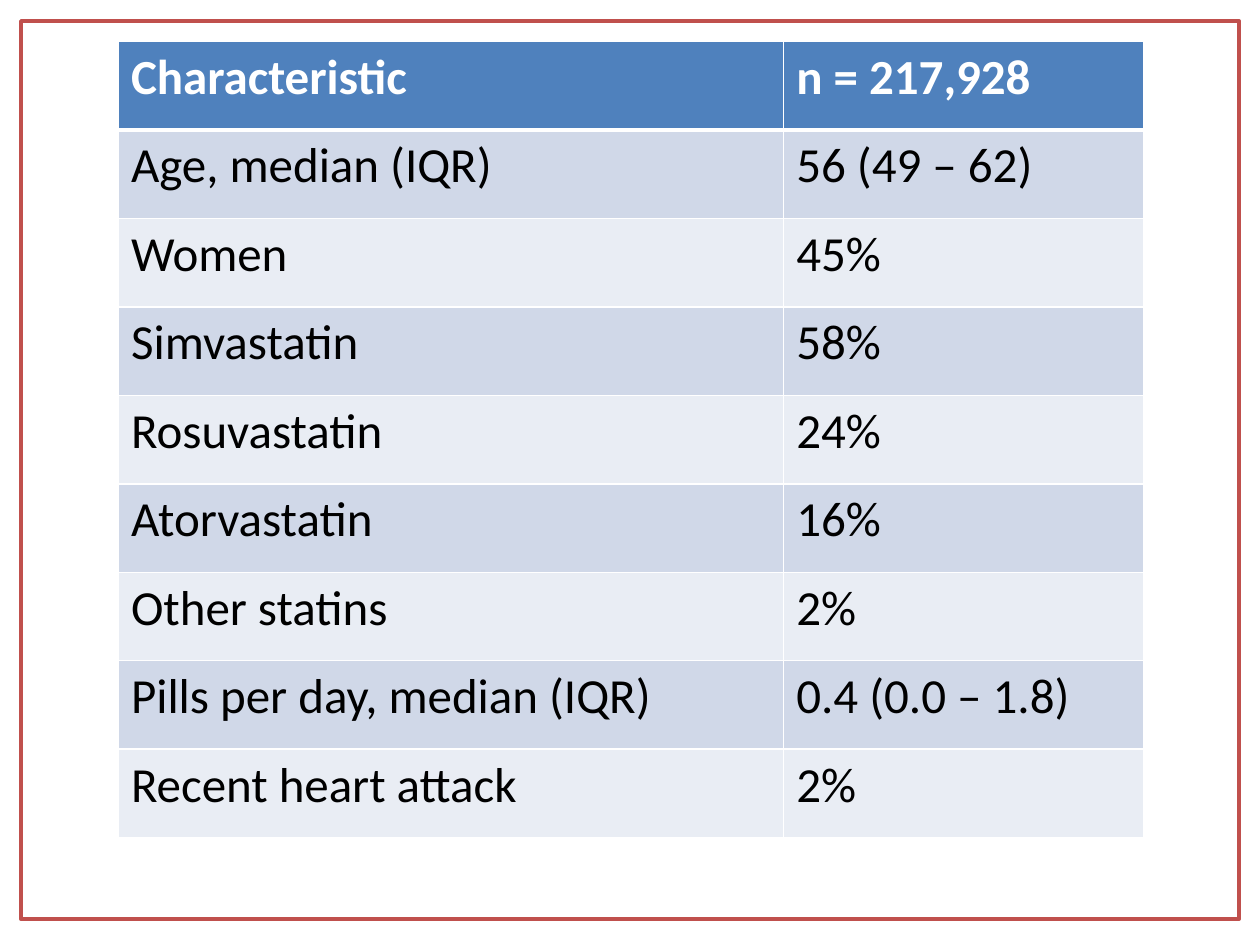
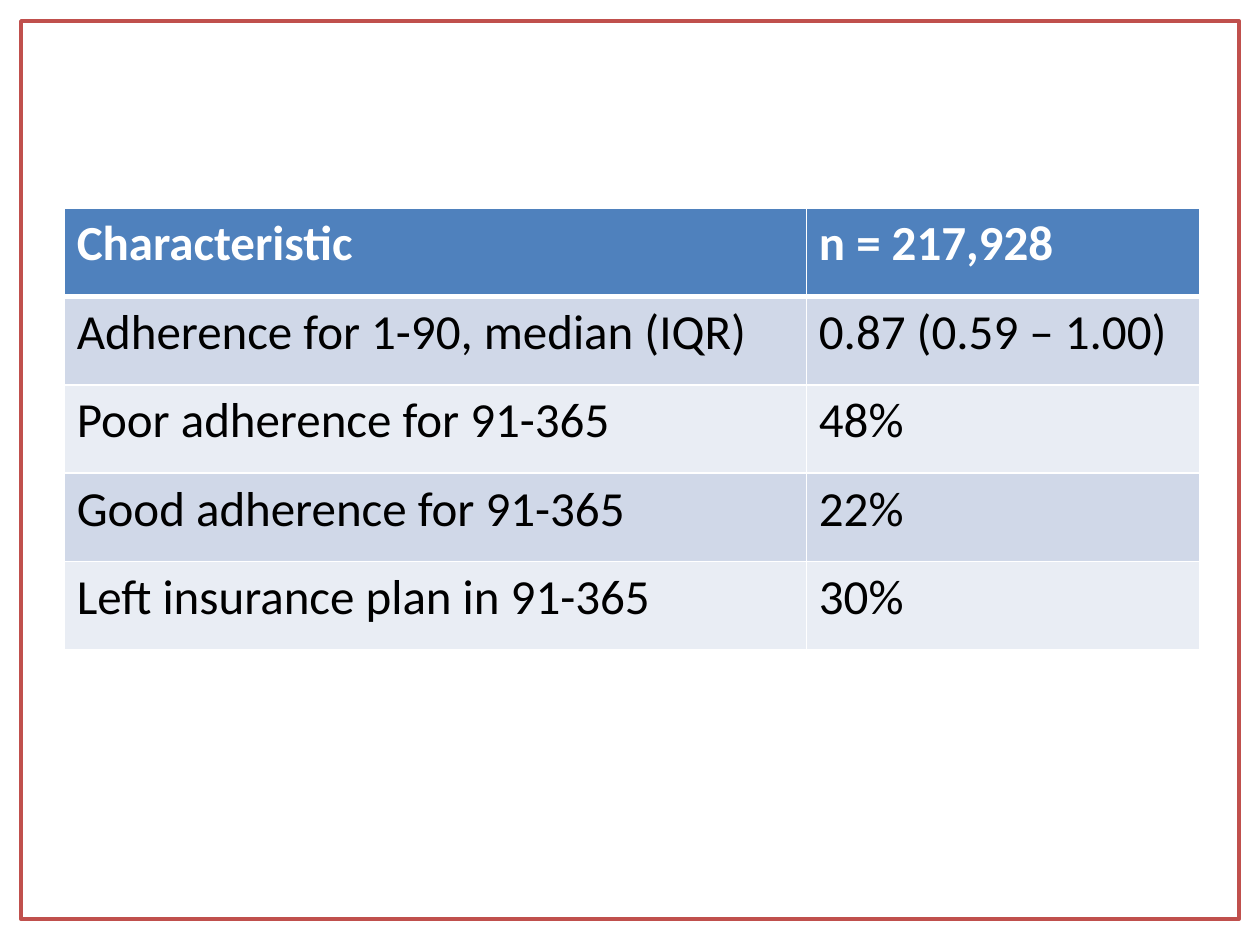
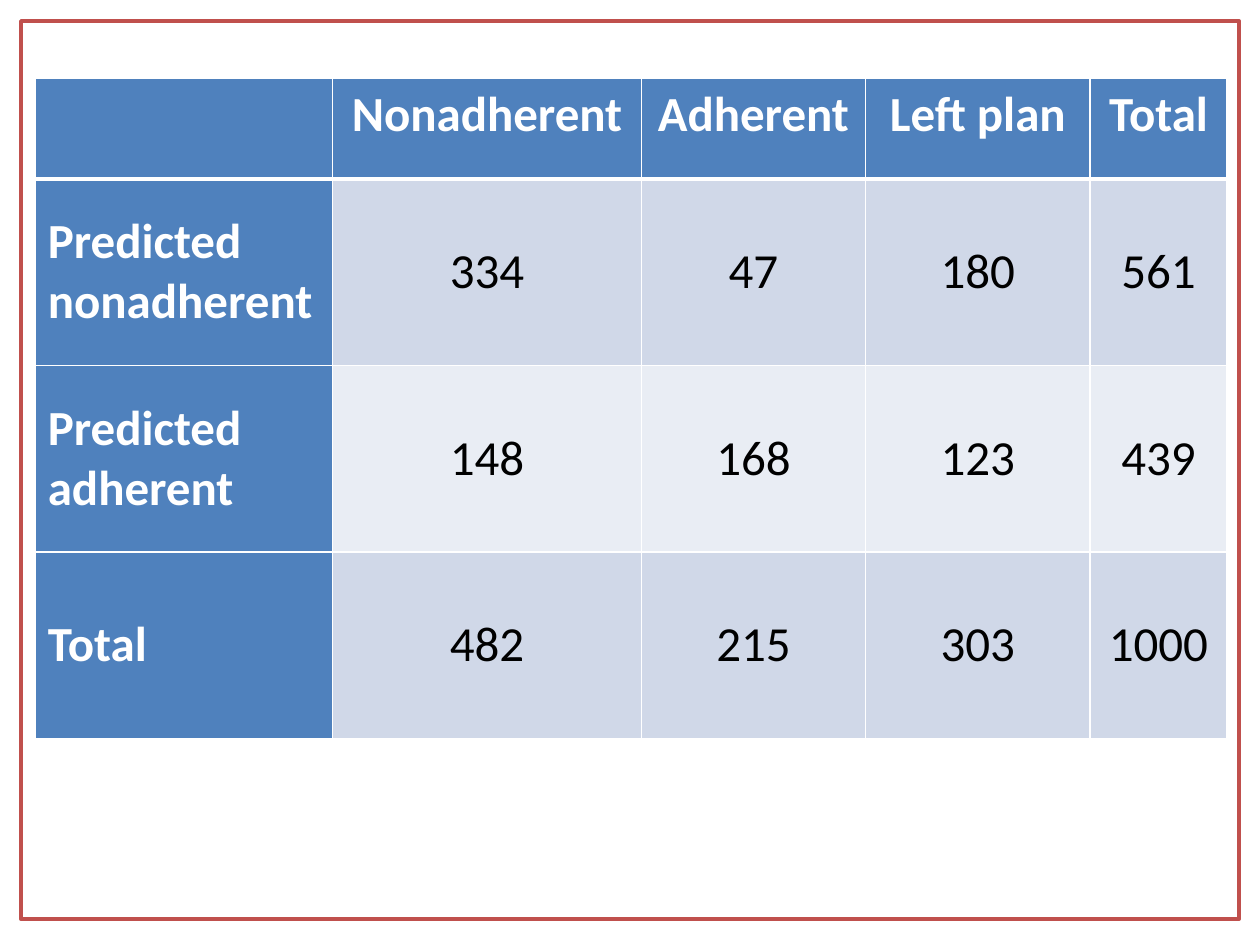
import pptx
import pptx.dml.color
import pptx.enum.shapes
import pptx.enum.text
import pptx.oxml
import pptx.oxml.ns
import pptx.util

Inches = pptx.util.Inches
Pt = pptx.util.Pt
ALIGN = pptx.enum.text.PP_ALIGN
ANCHOR = pptx.enum.text.MSO_ANCHOR

COLORS = {
    "white": "FFFFFF",
    "text": "000000",
    "frame": "C0504D",
    "header": "4F81BD",
    "odd_band": "D0D8E8",
    "even_band": "E9EDF4",
}


def rgb(name):
    return pptx.dml.color.RGBColor.from_string(COLORS[name])


class Deck:
    font_name = "Calibri"
    font_size = Pt(28)
    slide_width = 10
    frame_margin = 1 / 6

    def __init__(self):
        self.presentation = pptx.Presentation()
        self.presentation.slide_width = Inches(self.slide_width)
        self.presentation.slide_height = Inches(7.5)
        self.slide = None

    def new_slide(self):
        layout = self.presentation.slide_layouts[6]
        self.slide = self.presentation.slides.add_slide(layout)
        self.add_frame()

    def add_frame(self):
        frame = self.slide.shapes.add_shape(
            pptx.enum.shapes.MSO_SHAPE.RECTANGLE,
            Inches(self.frame_margin), Inches(self.frame_margin),
            Inches(self.slide_width - 2 * self.frame_margin), Inches(7.13))
        frame.shadow.inherit = False
        frame.fill.solid()
        frame.fill.fore_color.rgb = rgb("white")
        frame.line.color.rgb = rgb("frame")
        frame.line.width = Pt(2)

    def add_table(self, left, top, column_widths, row_heights, rows, crosstab=False):
        """Add a banded table; a crosstab also has a header column and centred values."""
        table = self.slide.shapes.add_table(
            len(rows), len(column_widths), Inches(left), Inches(top),
            Inches(sum(column_widths)), Inches(sum(row_heights))).table
        table.first_col = crosstab
        for column, width in zip(table.columns, column_widths):
            column.width = Inches(width)
        for row, height in zip(table.rows, row_heights):
            row.height = Inches(height)
        for row_index, texts in enumerate(rows):
            for column_index, text in enumerate(texts):
                cell = table.cell(row_index, column_index)
                is_header = row_index == 0 or (crosstab and column_index == 0)
                band = "odd_band" if row_index % 2 else "even_band"
                cell.fill.solid()
                cell.fill.fore_color.rgb = rgb("header" if is_header else band)
                self.set_borders(cell, row_index)
                if text:
                    self.set_text(cell, text, is_header)
                if crosstab and row_index > 0:
                    cell.vertical_anchor = ANCHOR.MIDDLE
                if crosstab and column_index > 0:
                    cell.text_frame.paragraphs[0].alignment = ALIGN.CENTER

    def set_text(self, cell, text, is_header):
        cell.text = text
        font = cell.text_frame.paragraphs[0].font
        font.name = self.font_name
        font.size = self.font_size
        font.bold = is_header
        font.color.rgb = rgb("white" if is_header else "text")

    def set_borders(self, cell, row_index):
        """Put white lines around a cell, thick between the header row and the body."""
        widths = {
            "lnL": 1,
            "lnR": 1,
            "lnT": 3 if row_index == 1 else 1,
            "lnB": 3 if row_index == 0 else 1,
        }
        properties = cell._tc.get_or_add_tcPr()
        for position, (tag, width) in enumerate(widths.items()):
            properties.insert(position, pptx.oxml.parse_xml(
                f'<a:{tag} {pptx.oxml.ns.nsdecls("a")} w="{Pt(width)}"><a:solidFill>'
                f'<a:srgbClr val="{COLORS["white"]}"/></a:solidFill></a:{tag}>'))


def equal_rows(total_height, rows):
    return [total_height / len(rows)] * len(rows)


def main():
    deck = Deck()
    header = ("Characteristic", "n = 217,928")

    deck.new_slide()
    patients = [
        header,
        ("Age, median (IQR)", "56 (49 – 62)"),
        ("Women", "45%"),
        ("Simvastatin", "58%"),
        ("Rosuvastatin", "24%"),
        ("Atorvastatin", "16%"),
        ("Other statins", "2%"),
        ("Pills per day, median (IQR)", "0.4 (0.0 – 1.8)"),
        ("Recent heart attack", "2%"),
    ]
    deck.add_table(0.94, 0.33, [5.28, 2.86], equal_rows(6.32, patients), patients)

    deck.new_slide()
    adherence = [
        header,
        ("Adherence for 1-90, median (IQR)", "0.87 (0.59 – 1.00)"),
        ("Poor adherence for 91-365", "48%"),
        ("Good adherence for 91-365", "22%"),
        ("Left insurance plan in 91-365", "30%"),
    ]
    deck.add_table(0.51, 1.65, [5.89, 3.12], equal_rows(3.51, adherence), adherence)

    deck.new_slide()
    predictions = [
        ("", "Nonadherent", "Adherent", "Left plan", "Total"),
        ("Predicted nonadherent", "334", "47", "180", "561"),
        ("Predicted adherent", "148", "168", "123", "439"),
        ("Total", "482", "215", "303", "1000"),
    ]
    deck.add_table(0.28, 0.62, [2.36, 2.45, 1.78, 1.78, 1.09], [0.8] + [1.48] * 3,
                   predictions, crosstab=True)

    deck.presentation.save("out.pptx")


if __name__ == "__main__":
    main()
